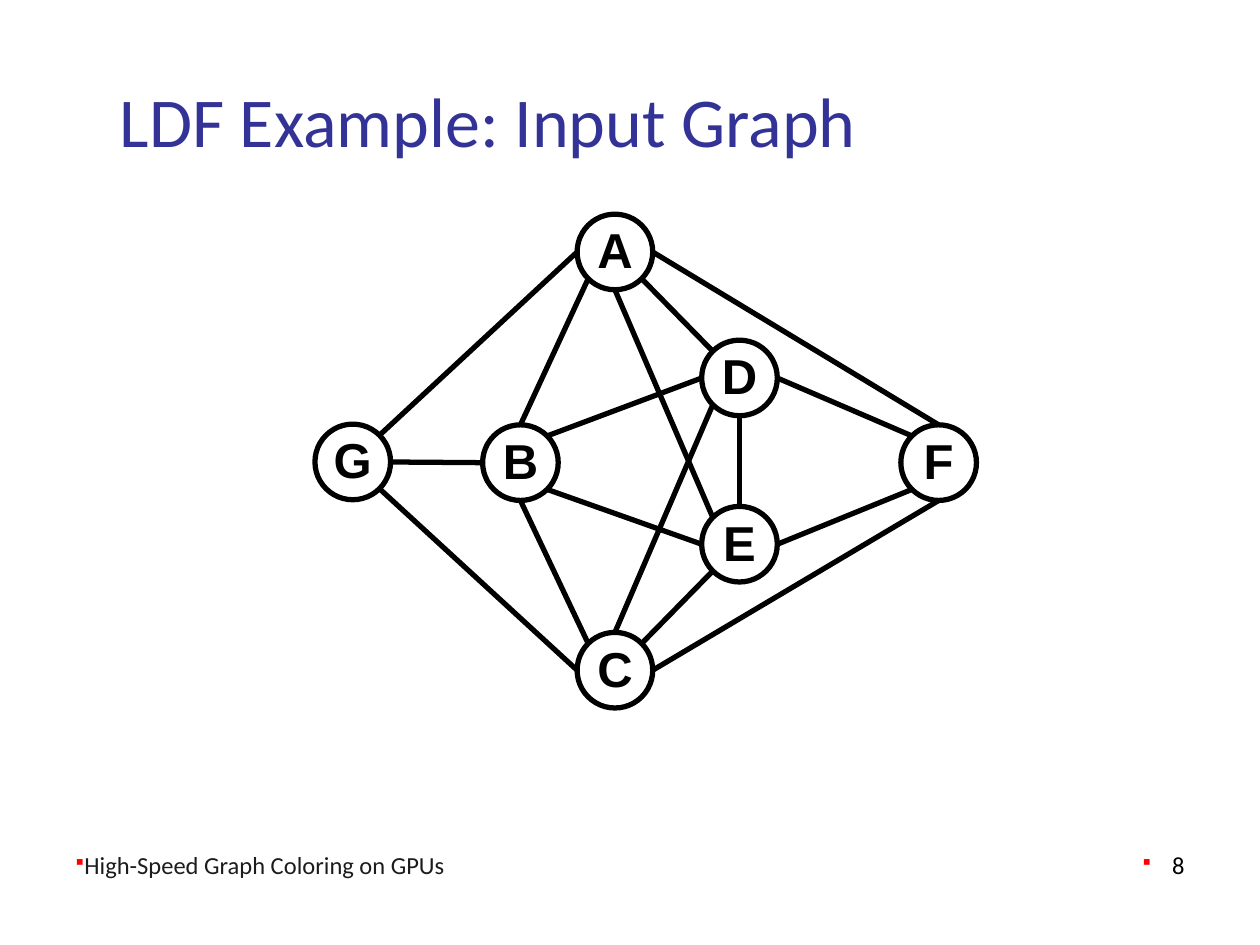
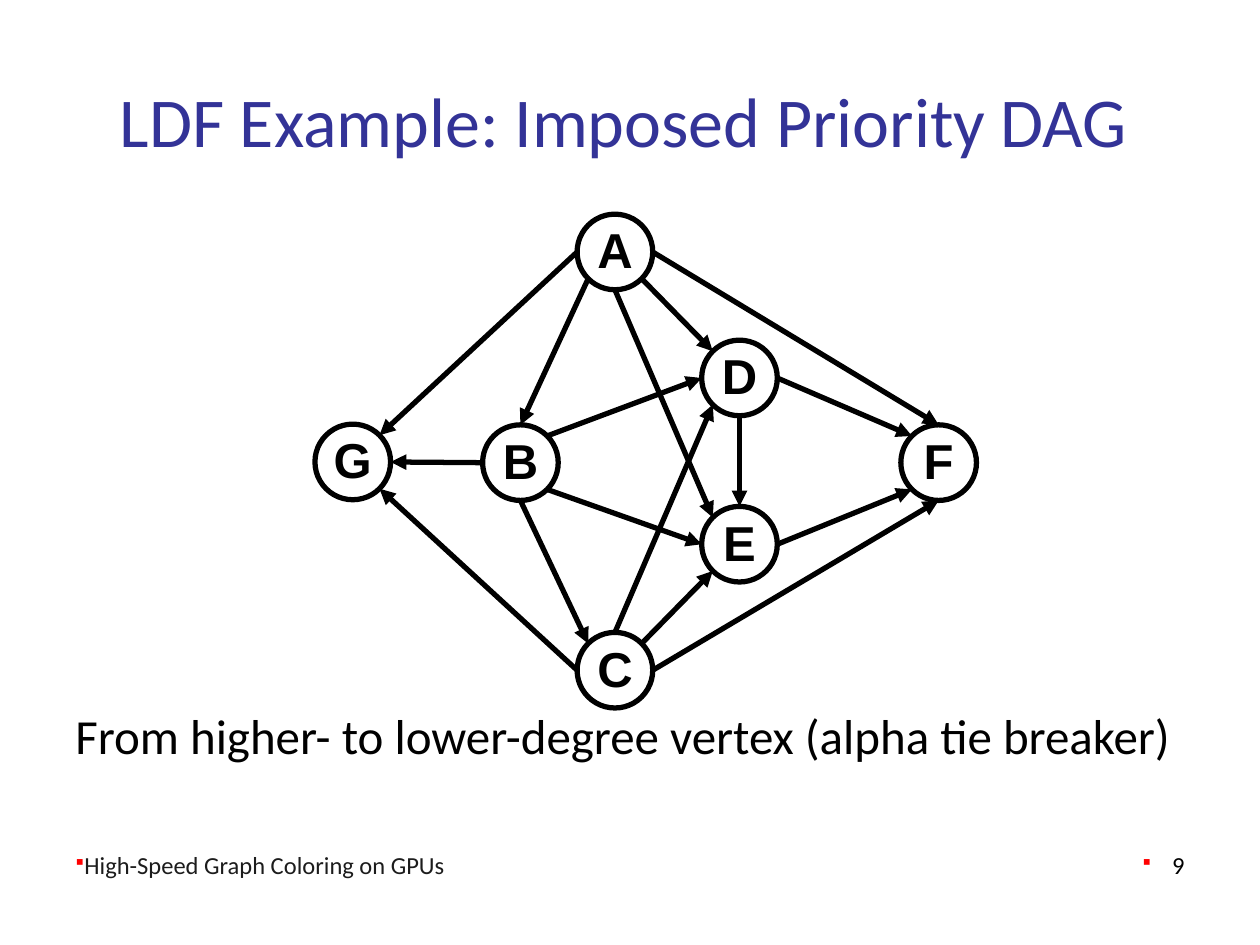
from dataclasses import dataclass
from math import cos, radians, sin

from lxml.etree import SubElement
from pptx import Presentation
from pptx.dml.color import RGBColor
from pptx.enum.shapes import MSO_CONNECTOR, MSO_SHAPE
from pptx.enum.text import MSO_ANCHOR, PP_ALIGN
from pptx.oxml.ns import qn
from pptx.util import Pt


@dataclass(frozen=True)
class Theme:
    title_color: RGBColor = RGBColor(0x33, 0x33, 0x97)
    footer_color: RGBColor = RGBColor(0x1C, 0x1C, 0x1C)
    ink: RGBColor = RGBColor(0, 0, 0)
    bullet_color: str = "FF0000"
    text_font: str = "Calibri"
    vertex_font: str = "Arial"
    title_size: int = 40
    body_size: int = 28
    footer_size: int = 14
    line_width: int = 3


# Graph: vertex centres in points, and edges from higher to lower priority
DIAMETER = 43.2
VERTICES = {
    "A": (351.4, 144), "B": (297.4, 264.4), "C": (351.4, 383),
    "D": (422.6, 216), "E": (422.6, 311), "F": (536.4, 264.4),
    "G": (201.6, 264),
}
EDGES = [
    ("A", "W", "G", "NE"), ("A", "SW", "B", "N"), ("A", "S", "E", "NW"),
    ("A", "SE", "D", "NW"), ("A", "E", "F", "N"),
    ("B", "W", "G", "E"), ("B", "NE", "D", "W"), ("B", "SE", "E", "W"),
    ("B", "S", "C", "NW"),
    ("C", "W", "G", "SE"), ("C", "N", "D", "SW"), ("C", "NE", "E", "SW"),
    ("C", "E", "F", "S"),
    ("D", "S", "E", "N"), ("D", "E", "F", "NW"), ("E", "E", "F", "SW"),
]
# Compass directions run clockwise from east, as the y axis points down
ANGLES = {name: 45 * step for step, name in
          enumerate(["E", "SE", "S", "SW", "W", "NW", "N", "NE"])}


def rim_point(vertex, direction):
    x, y = VERTICES[vertex]
    angle = radians(ANGLES[direction])
    radius = DIAMETER / 2
    return Pt(x + radius * cos(angle)), Pt(y + radius * sin(angle))


def set_attributes(target, values):
    for name, value in values.items():
        setattr(target, name, value)


class Deck:
    def __init__(self, theme):
        self.theme = theme
        self.presentation = Presentation()
        set_attributes(self.presentation,
                       {"slide_width": Pt(720), "slide_height": Pt(540)})
        self.slide = None

    def add_slide(self, title, number):
        theme = self.theme
        layout = self.presentation.slide_layouts[6]
        self.slide = self.presentation.slides.add_slide(layout)
        self.add_text(title, (36, 43.2, 648, 50.4), theme.title_size,
                      theme.title_color, MSO_ANCHOR.MIDDLE, left_inset=32.4)
        # Footer and slide number
        self.add_text("High-Speed Graph Coloring on GPUs",
                      (36, 470.2, 498.2, 36), theme.footer_size,
                      theme.footer_color, MSO_ANCHOR.BOTTOM, bullet_indent=0)
        self.add_text(str(number), (534.2, 470.2, 149.8, 36),
                      theme.footer_size, theme.ink, MSO_ANCHOR.BOTTOM,
                      alignment=PP_ALIGN.RIGHT, bullet_indent=17)

    def add_text(self, text, box, size, color, anchor=MSO_ANCHOR.TOP,
                 alignment=PP_ALIGN.LEFT, left_inset=7.2, bullet_indent=None):
        shape = self.slide.shapes.add_textbox(*map(Pt, box))
        set_attributes(shape.text_frame, {
            "word_wrap": True, "vertical_anchor": anchor,
            "margin_left": Pt(left_inset)})
        paragraph = shape.text_frame.paragraphs[0]
        if bullet_indent is not None:
            self.add_bullet(paragraph, bullet_indent)
        self.fill_paragraph(paragraph, text, alignment, {
            "name": self.theme.text_font, "size": Pt(size)}, color)

    def fill_paragraph(self, paragraph, text, alignment, font_values, color):
        paragraph.text = text
        paragraph.alignment = alignment
        set_attributes(paragraph.font, font_values)
        paragraph.font.color.rgb = color

    def add_bullet(self, paragraph, indent):
        properties = paragraph._p.get_or_add_pPr()
        properties.set("marL", str(Pt(indent)))
        properties.set("indent", str(-Pt(indent)))
        color = SubElement(properties, qn("a:buClr"))
        SubElement(color, qn("a:srgbClr"), val=self.theme.bullet_color)
        SubElement(properties, qn("a:buSzPct"), val="80000")
        SubElement(properties, qn("a:buFont"), typeface="Wingdings")
        SubElement(properties, qn("a:buChar"), char="§")

    def add_edge(self, group, start, end, directed):
        connector = group.shapes.add_connector(
            MSO_CONNECTOR.STRAIGHT, *start, *end)
        connector.line.color.rgb = self.theme.ink
        connector.line.width = Pt(self.theme.line_width)
        properties = connector._element.spPr
        if directed:
            SubElement(properties.find(qn("a:ln")), qn("a:tailEnd"),
                       type="triangle")
        SubElement(properties, qn("a:effectLst"))

    def add_vertex(self, group, name, center):
        left, top = (Pt(value - DIAMETER / 2) for value in center)
        shape = group.shapes.add_shape(
            MSO_SHAPE.OVAL, left, top, Pt(DIAMETER), Pt(DIAMETER))
        shape.shadow.inherit = False
        shape.fill.background()
        shape.line.color.rgb = self.theme.ink
        shape.line.width = Pt(self.theme.line_width)
        set_attributes(shape.text_frame, {
            "margin_left": 0, "margin_right": 0, "margin_top": 0,
            "margin_bottom": 0, "vertical_anchor": MSO_ANCHOR.BOTTOM})
        self.fill_paragraph(
            shape.text_frame.paragraphs[0], name, PP_ALIGN.CENTER,
            {"name": self.theme.vertex_font, "bold": True,
             "size": Pt(self.theme.body_size)}, self.theme.ink)

    def add_graph(self, directed):
        group = self.slide.shapes.add_group_shape()
        for source, leaving, target, entering in EDGES:
            self.add_edge(group, rim_point(source, leaving),
                          rim_point(target, entering), directed)
        for name, center in VERTICES.items():
            self.add_vertex(group, name, center)


def main():
    theme = Theme()
    deck = Deck(theme)

    # Undirected input graph
    deck.add_slide("LDF Example: Input Graph", 8)
    deck.add_graph(directed=False)

    # Edges directed by priority
    deck.add_slide("LDF Example: Imposed Priority DAG", 9)
    deck.add_text("From higher- to lower-degree vertex (alpha tie breaker)",
                  (36, 399.4, 648, 41.4), theme.body_size, theme.ink)
    deck.add_graph(directed=True)

    deck.presentation.save("out.pptx")


if __name__ == "__main__":
    main()
